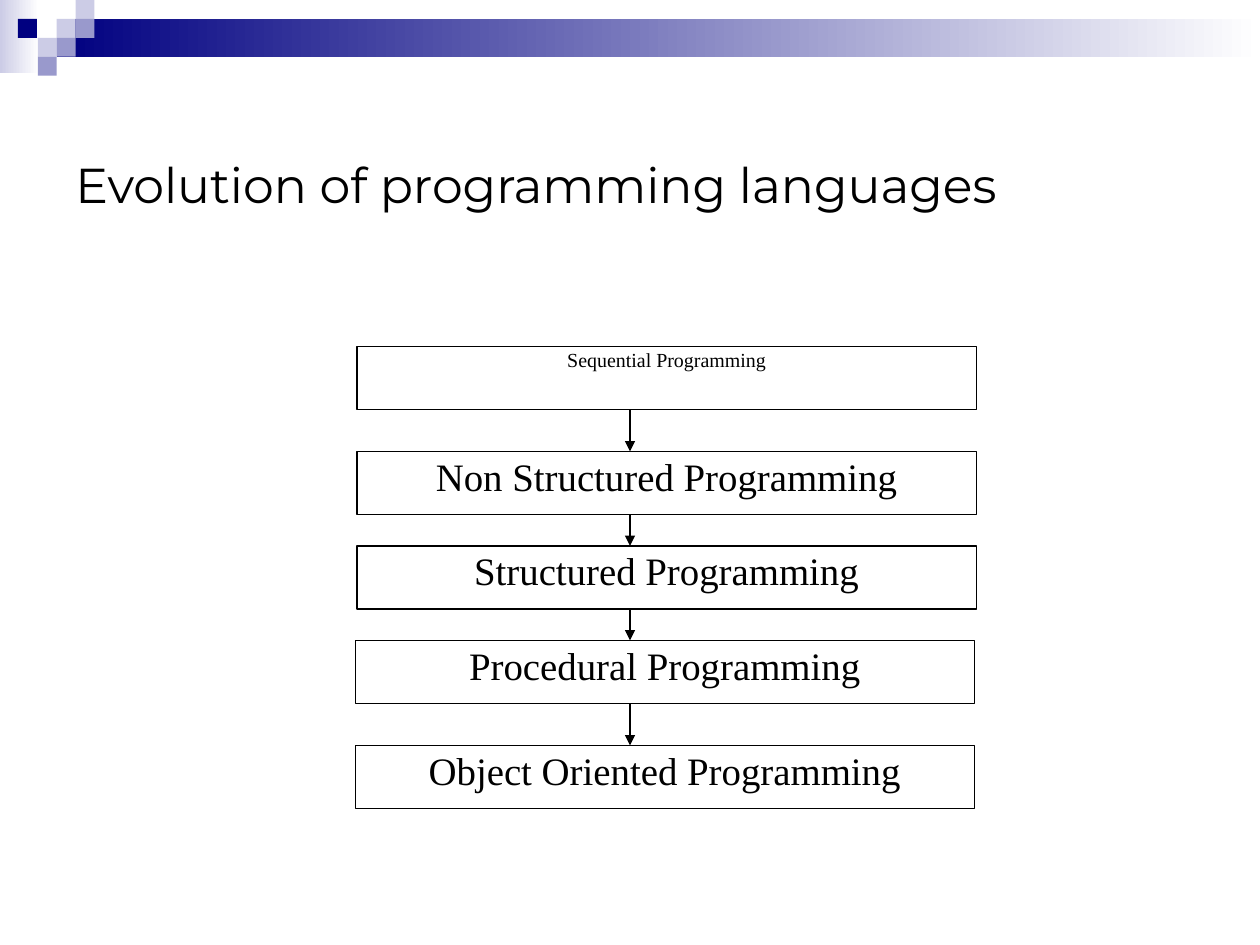
from itertools import pairwise
from lxml.etree import SubElement
from pptx import Presentation
from pptx.dml.color import RGBColor
from pptx.enum.shapes import MSO_CONNECTOR as Link, MSO_SHAPE as Shape
from pptx.enum.text import MSO_ANCHOR as Anchor, PP_ALIGN as Align
from pptx.oxml.ns import qn
from pptx.util import Pt

TITLE = "Evolution of programming languages"
STEPS = [
    ("Sequential Programming", 204, 198, 11.4, 0.8),
    ("Non Structured Programming", 204, 258, 22.2, 0.9),
    ("Structured Programming", 204, 312, 22.2, 0.9),
    ("Procedural Programming", 203, 366, 22.2, 0.9),
    ("Object Oriented Programming", 203, 426, 22.2, 0.9),
]
BANDS = [
    (0, 0, 22.3, 41.8, "CCCCE6"),
    (32.4, 10.8, 687.6, 21.6, "000080"),
]
TILE = 10.8
TILES = [
    (3, 1, "CCCCE6"),
    (4, 0, "CCCCE6"),
    (4, 1, "9999CC"),
    (2, 2, "CCCCE6"),
    (0.95, 1, "000080"),
    (3, 2, "9999CC"),
    (2, 3, "9999CC"),
]
WIDE, HIGH, MID = 354, 36, 360
BLACK = "000000"


def tint(color):
    return RGBColor.from_string(color)


def add_box(x, y, w, h):
    box = slide.shapes.add_shape(Shape.RECTANGLE, Pt(x), Pt(y), Pt(w), Pt(h))
    box.shadow.inherit = False
    return box


def add_text(frame, text, font, size):
    frame.word_wrap = True
    par = frame.paragraphs[0]
    par.text = text
    par.font.name = font
    par.font.size = Pt(size)
    par.font.color.rgb = tint(BLACK)
    return par


def add_band(x, y, w, h, color):
    box = add_box(x, y, w, h)
    box.line.fill.background()
    box.fill.gradient()
    box.fill.gradient_angle = 0
    for stop, shade in zip(box.fill.gradient_stops, (color, "FFFFFF")):
        stop.color.rgb = tint(shade)


def add_tile(col, row, color):
    box = add_box(col * TILE, row * TILE, TILE, TILE)
    box.line.fill.background()
    box.fill.solid()
    box.fill.fore_color.rgb = tint(color)


def add_step(text, x, y, size, space):
    box = add_box(x, y, WIDE, HIGH)
    box.fill.background()
    box.line.color.rgb = tint(BLACK)
    box.line.width = Pt(0.75)
    box.text_frame.vertical_anchor = Anchor.TOP
    par = add_text(box.text_frame, text, "Times New Roman", size)
    par.alignment = Align.CENTER
    par.line_spacing = space


def add_arrow(top, end):
    line = slide.shapes.add_connector(
        Link.STRAIGHT, Pt(MID), Pt(top), Pt(MID), Pt(end))
    line.line.color.rgb = tint(BLACK)
    line.line.width = Pt(0.75)
    SubElement(line.line._get_or_add_ln(), qn("a:tailEnd"), type="triangle")
    SubElement(line._element.spPr, qn("a:effectLst"))


deck = Presentation()
deck.slide_width, deck.slide_height = Pt(720), Pt(540)
slide = deck.slides.add_slide(deck.slide_layouts[6])

for band in BANDS:
    add_band(*band)
for tile in TILES:
    add_tile(*tile)

title = slide.shapes.add_textbox(Pt(36), Pt(60), Pt(648), Pt(90))
title.text_frame.vertical_anchor = Anchor.MIDDLE
add_text(title.text_frame, TITLE, "Montserrat", 28)

for step in STEPS:
    add_step(*step)
for above, below in pairwise(STEPS):
    add_arrow(above[2] + HIGH, below[2])

deck.save("out.pptx")
